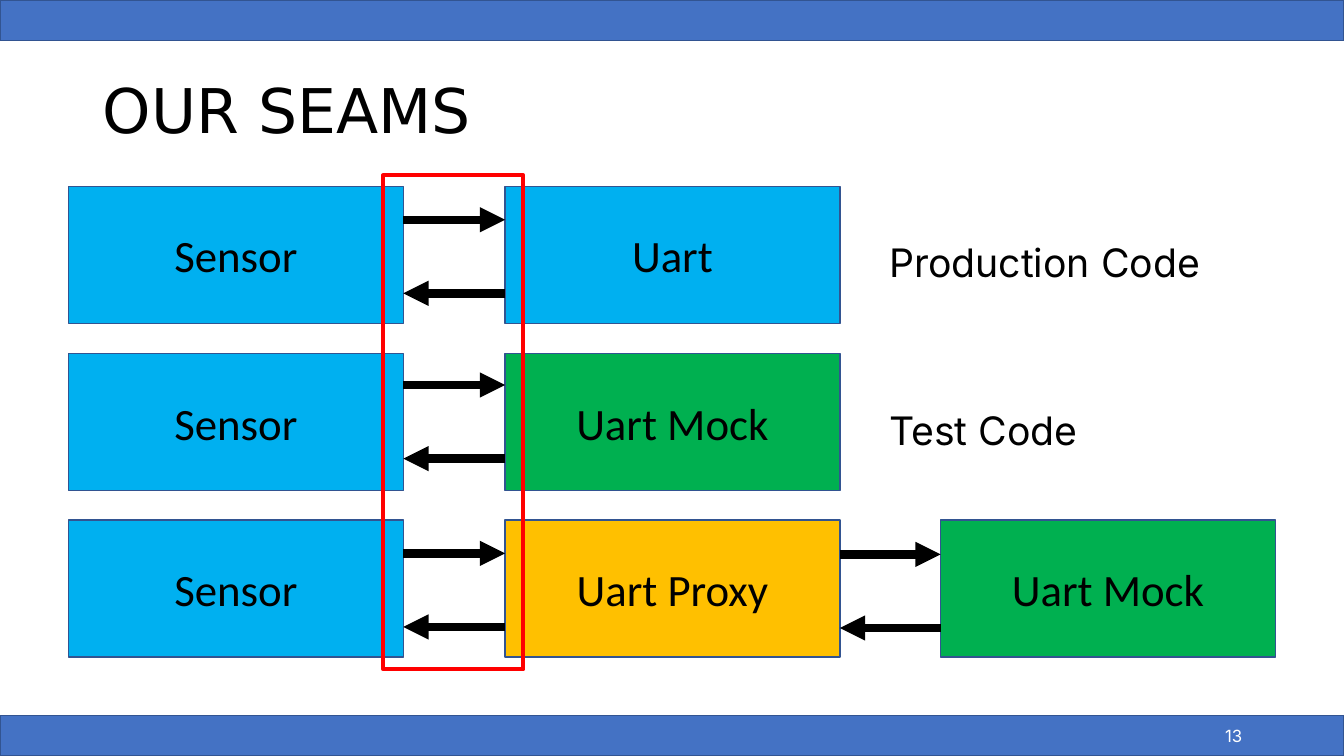
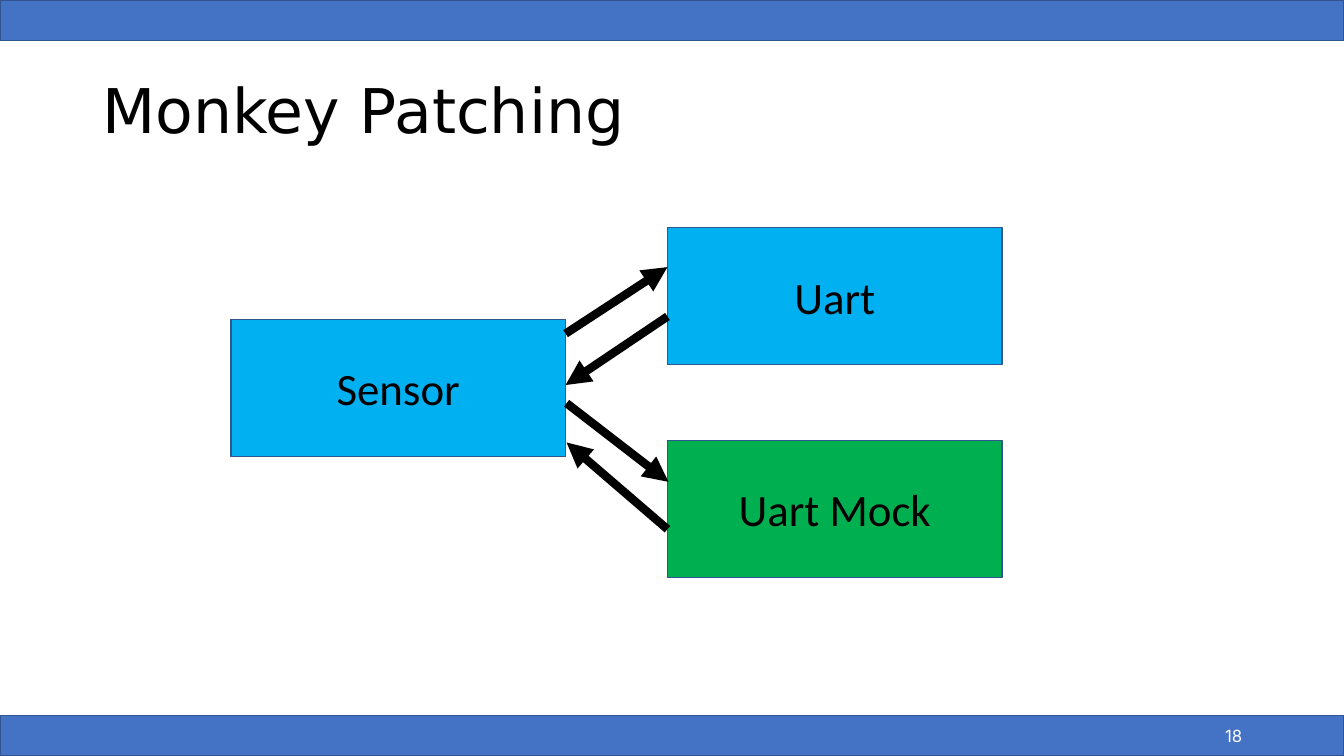
from dataclasses import dataclass

from lxml import etree
from pptx import Presentation
from pptx.dml.color import RGBColor
from pptx.enum.shapes import MSO_CONNECTOR, MSO_SHAPE
from pptx.enum.text import MSO_ANCHOR, PP_ALIGN
from pptx.oxml.ns import qn
from pptx.presentation import Presentation as Deck
from pptx.shapes.autoshape import Shape
from pptx.slide import Slide
from pptx.util import Inches, Pt

RECTANGLE = MSO_SHAPE.RECTANGLE
STRAIGHT = MSO_CONNECTOR.STRAIGHT
MIDDLE = MSO_ANCHOR.MIDDLE
LEFT, CENTER, RIGHT = PP_ALIGN.LEFT, PP_ALIGN.CENTER, PP_ALIGN.RIGHT

BLACK, WHITE, RED = "000000", "FFFFFF", "FF0000"
BAND_BLUE, OUTLINE = "4472C4", "325491"
PRODUCTION, MOCK, PROXY = "00B0F0", "00B050", "FFC000"

PAGE_WIDTH, PAGE_HEIGHT, BAND_HEIGHT = 13.33, 7.5, 0.4
BOX_WIDTH, BOX_HEIGHT = 3.32, 1.36
ARROW_GAP = 0.73


@dataclass(frozen=True)
class TextStyle:
    """Look of one kind of text."""
    font: str
    size: float
    color: str
    align: PP_ALIGN
    spacing: float = 1.0


@dataclass(frozen=True)
class Area:
    """Rectangle on the page, in inches."""
    left: float
    top: float
    width: float
    height: float


@dataclass(frozen=True)
class Component:
    """Named block of code in a diagram."""
    name: str
    color: str
    left: float
    top: float


@dataclass(frozen=True)
class Arrow:
    """Arrow from a start point to an end point, in inches."""
    start: tuple[float, float]
    end: tuple[float, float]


@dataclass(frozen=True)
class Row:
    """Chain of components joined by call and reply arrows."""
    top: float
    chain: tuple[tuple[str, str], ...]
    lanes: tuple[float, ...]
    label: str = ""


TITLE = TextStyle("DejaVu Sans", 44, BLACK, LEFT, 0.9)
NUMBER = TextStyle("Inter", 12, WHITE, RIGHT)
LABEL = TextStyle("Inter", 28, BLACK, LEFT)
COMPONENT = TextStyle("Calibri", 32, BLACK, CENTER)

COLUMNS = (0.68, 5.01, 9.33)
SENSOR = ("Sensor", PRODUCTION)
UART = ("Uart", PRODUCTION)
UART_MOCK = ("Uart Mock", MOCK)
UART_PROXY = ("Uart Proxy", PROXY)

SEAM_ROWS = (
    Row(1.85, (SENSOR, UART), (2.18,), "Production Code"),
    Row(3.51, (SENSOR, UART_MOCK), (3.82,), "Test Code"),
    Row(5.16, (SENSOR, UART_PROXY, UART_MOCK), (5.49, 5.5)),
)
SEAM_FRAME = Area(3.8, 1.74, 1.39, 4.9)
LABEL_LEFT, LABEL_WIDTH, LABEL_DROP = 8.72, 4.4, 0.07

PATCH_COMPONENTS = (
    Component(*SENSOR, 2.29, 3.17),
    Component(*UART, 6.62, 2.26),
    Component(*UART_MOCK, 6.62, 4.37),
)
PATCH_ARROWS = (
    Arrow((5.61, 3.31), (6.62, 2.65)),
    Arrow((5.62, 4), (6.63, 4.78)),
    Arrow((6.62, 3.14), (5.61, 3.82)),
    Arrow((6.62, 5.25), (5.62, 4.39)),
)


def rgb(color: str) -> RGBColor:
    """Turn a hex string into a colour."""
    return RGBColor.from_string(color)


def write(shape: Shape, text: str, style: TextStyle) -> None:
    """Write one styled line, centred vertically in a shape."""
    frame = shape.text_frame
    frame.word_wrap = True
    frame.vertical_anchor = MIDDLE
    para = frame.paragraphs[0]
    para.alignment = style.align
    para.line_spacing = style.spacing
    span = para.add_run()
    span.text = text
    span.font.name = style.font
    span.font.size = Pt(style.size)
    span.font.color.rgb = rgb(style.color)


def add_text(page: Slide, area: Area, text: str, style: TextStyle) -> None:
    """Add a text box."""
    box = page.shapes.add_textbox(Inches(area.left), Inches(area.top),
                                  Inches(area.width), Inches(area.height))
    write(box, text, style)


def add_box(page: Slide, area: Area, fill: str | None,
            line: str = OUTLINE, weight: float = 1) -> Shape:
    """Add an outlined rectangle, hollow when there is no fill."""
    box = page.shapes.add_shape(RECTANGLE, Inches(area.left), Inches(area.top),
                                Inches(area.width), Inches(area.height))
    box.shadow.inherit = False
    if fill:
        box.fill.solid()
        box.fill.fore_color.rgb = rgb(fill)
    else:
        box.fill.background()
    box.line.color.rgb = rgb(line)
    box.line.width = Pt(weight)
    return box


def add_component(page: Slide, component: Component) -> None:
    """Add a component box with its name."""
    area = Area(component.left, component.top, BOX_WIDTH, BOX_HEIGHT)
    write(add_box(page, area, component.color), component.name, COMPONENT)


def add_arrow(page: Slide, arrow: Arrow) -> None:
    """Add a thick black arrow."""
    points = (Inches(value) for value in (*arrow.start, *arrow.end))
    connector = page.shapes.add_connector(STRAIGHT, *points)
    connector.line.color.rgb = rgb(BLACK)
    connector.line.width = Pt(6)
    outline = connector.line._get_or_add_ln()
    etree.SubElement(outline, qn("a:tailEnd"), type="triangle")
    etree.SubElement(outline.getparent(), qn("a:effectLst"))


def add_page(deck: Deck, title: str, number: int) -> Slide:
    """Add a page with bands, title and page number."""
    page = deck.slides.add_slide(deck.slide_layouts[6])
    footer_top = PAGE_HEIGHT - BAND_HEIGHT
    for top in (footer_top, 0):
        add_box(page, Area(0, top, PAGE_WIDTH, BAND_HEIGHT), BAND_BLUE)
    add_text(page, Area(0.92, 0.4, 11.5, 1.45), title, TITLE)
    add_text(page, Area(9.42, footer_top, 3, BAND_HEIGHT), str(number), NUMBER)
    return page


def add_row(page: Slide, row: Row) -> None:
    """Add a chain of components, its arrow pairs and its label."""
    for left, (name, color) in zip(COLUMNS, row.chain):
        add_component(page, Component(name, color, left, row.top))
    for left, right, lane in zip(COLUMNS, COLUMNS[1:], row.lanes):
        edge, reply = left + BOX_WIDTH, lane + ARROW_GAP
        add_arrow(page, Arrow((edge, lane), (right, lane)))
        add_arrow(page, Arrow((right, reply), (edge, reply)))
    if row.label:
        area = Area(LABEL_LEFT, row.top + LABEL_DROP, LABEL_WIDTH, BOX_HEIGHT)
        add_text(page, area, row.label, LABEL)


def build_seams(deck: Deck) -> None:
    """Build the page that compares the seams."""
    page = add_page(deck, "OUR SEAMS", 13)
    for row in SEAM_ROWS:
        add_row(page, row)
    add_box(page, SEAM_FRAME, None, RED, 3)


def build_patching(deck: Deck) -> None:
    """Build the page on swapping the Uart for its mock."""
    page = add_page(deck, "Monkey Patching", 18)
    for component in PATCH_COMPONENTS:
        add_component(page, component)
    for arrow in PATCH_ARROWS:
        add_arrow(page, arrow)


def main() -> None:
    """Build and save the deck."""
    deck = Presentation()
    deck.slide_width = Inches(PAGE_WIDTH)
    deck.slide_height = Inches(PAGE_HEIGHT)
    build_seams(deck)
    build_patching(deck)
    deck.save("out.pptx")


main()
